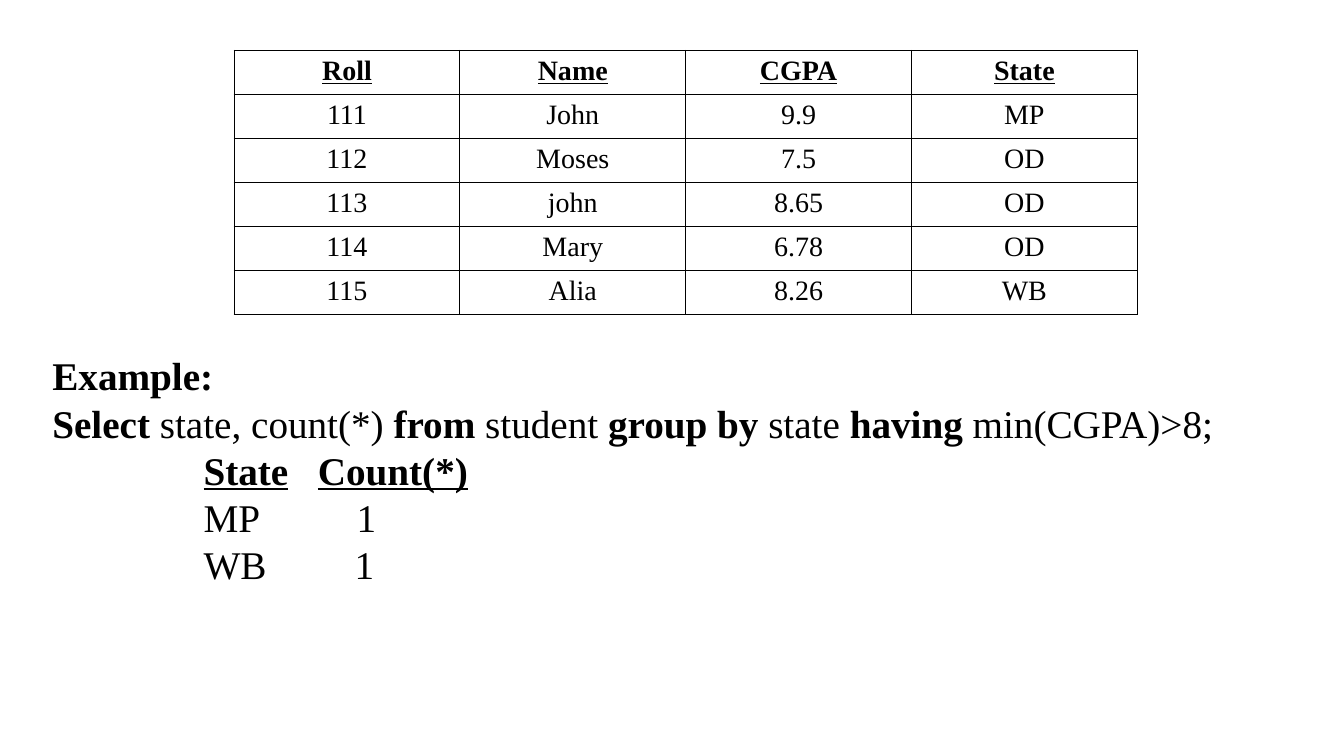
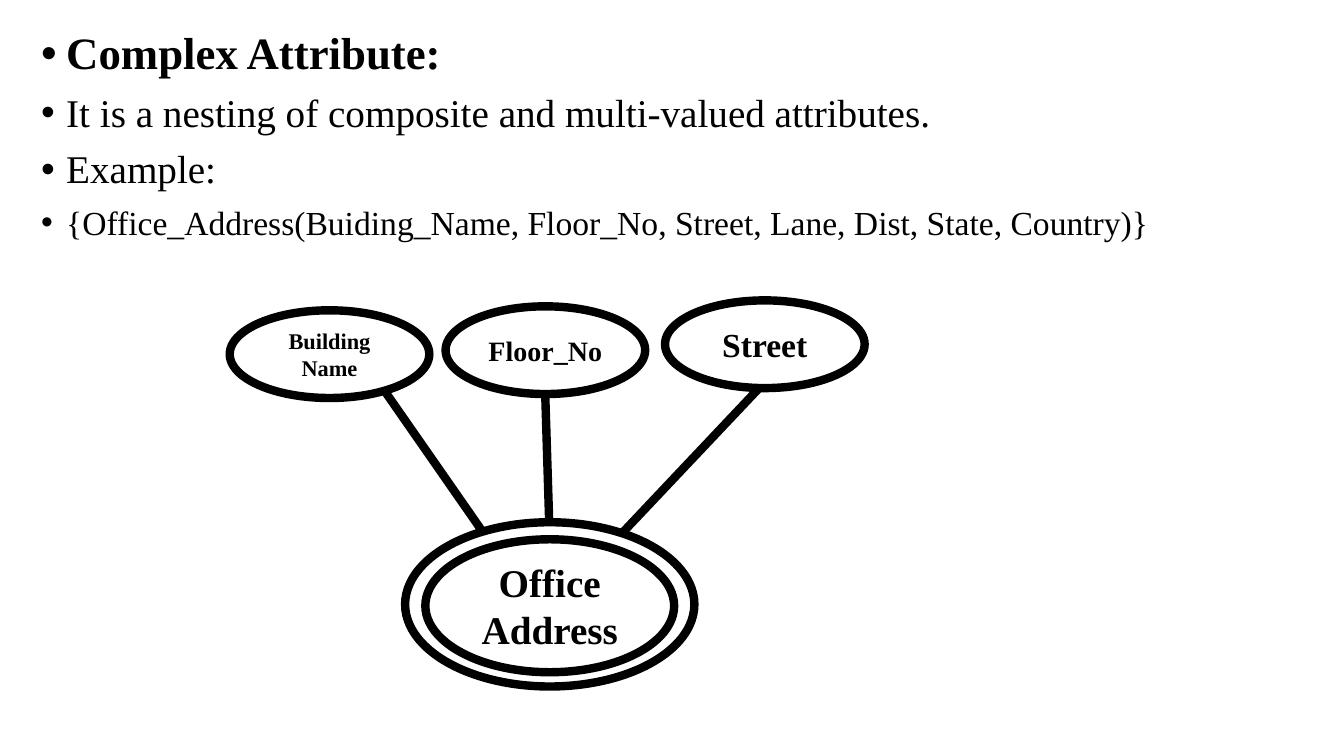
from pptx import Presentation
from pptx.dml.color import RGBColor
from pptx.enum.shapes import MSO_CONNECTOR, MSO_SHAPE
from pptx.enum.text import MSO_ANCHOR, PP_ALIGN
from pptx.oxml.ns import qn
from pptx.util import Cm, Pt
from lxml import etree

OVAL, STRAIGHT = MSO_SHAPE.OVAL, MSO_CONNECTOR.STRAIGHT
CENTER, LEFT = PP_ALIGN.CENTER, PP_ALIGN.LEFT
TOP, MIDDLE = MSO_ANCHOR.TOP, MSO_ANCHOR.MIDDLE
COLORS = {"ink": "000000", "paper": "FFFFFF"}
FONT = "Times New Roman"
STROKE = Pt(6)


class Deck:
    def __init__(self):
        self.prs = Presentation()
        self.prs.slide_width, self.prs.slide_height = Cm(33.87), Cm(19.05)
        self.slide = None

    def color(self, name):
        return RGBColor.from_string(COLORS[name])

    def add_slide(self):
        self.slide = self.prs.slides.add_slide(self.prs.slide_layouts[6])
        fill = self.slide.background.fill
        fill.solid()
        fill.fore_color.rgb = self.color("paper")

    def style(self, r, size, bold=False, underline=False):
        r.font.name, r.font.size = FONT, Pt(size)
        r.font.bold, r.font.underline = bold, underline
        r.font.color.rgb = self.color("ink")

    def add_run(self, p, text, size, bold=False, underline=False):
        r = p.add_run()
        r.text = text
        self.style(r, size, bold, underline)

    def text_box(self, x, y, w, h):
        tf = self.slide.shapes.add_textbox(Cm(x), Cm(y), Cm(w), Cm(h)).text_frame
        tf.word_wrap = True
        tf.vertical_anchor = TOP
        return tf

    def paragraph(self, tf):
        """Return the unused first paragraph, or a new one."""
        first = tf.paragraphs[0]
        p = tf.add_paragraph() if first.runs else first
        p.alignment = LEFT
        return p

    def tab_stops(self, p, positions):
        tabs = etree.SubElement(p._p.get_or_add_pPr(), qn("a:tabLst"))
        for pos in positions:
            etree.SubElement(tabs, qn("a:tab"), pos=str(Cm(pos)), algn="l")

    def bullet(self, tf, text, size, bold=False):
        p = self.paragraph(tf)
        pPr = p._p.get_or_add_pPr()
        indent = Cm(0.63)
        pPr.set("marL", str(indent))
        pPr.set("indent", str(-indent))
        etree.SubElement(pPr, qn("a:buFont"), typeface="Arial")
        etree.SubElement(pPr, qn("a:buChar"), char="•")
        p.line_spacing = 0.9
        if p._p is not tf.paragraphs[0]._p:
            p.space_before = Pt(10)
        self.add_run(p, text, size, bold)

    def border(self, tcPr, side, width):
        ln = etree.SubElement(tcPr, qn("a:" + side), w=str(Pt(width)))
        fill = etree.SubElement(ln, qn("a:solidFill"))
        etree.SubElement(fill, qn("a:srgbClr"), val=COLORS["ink"])

    def table(self, rows, x, y, col_w, row_h, size):
        n_rows, n_cols = len(rows), len(rows[0])
        table = self.slide.shapes.add_table(
            n_rows, n_cols, Cm(x), Cm(y), Cm(col_w * n_cols), Cm(row_h * n_rows)).table
        table.first_row = table.horz_banding = False
        for i, row in enumerate(rows):
            table.rows[i].height = Cm(row_h)
            header = i == 0
            widths = {"lnL": 1, "lnR": 1, "lnT": 1.5 if i == 1 else 1,
                      "lnB": 1.5 if header else 1}
            for j, value in enumerate(row):
                table.columns[j].width = Cm(col_w)
                cell = table.cell(i, j)
                for side, width in widths.items():
                    self.border(cell._tc.get_or_add_tcPr(), side, width)
                cell.fill.background()
                p = cell.text_frame.paragraphs[0]
                p.text = value
                p.alignment = CENTER
                self.style(p.runs[0], size, header, header)

    def ellipse(self, x, y, w, h, text="", size=0):
        sp = self.slide.shapes.add_shape(OVAL, Cm(x), Cm(y), Cm(w), Cm(h))
        sp.shadow.inherit = False
        sp.fill.solid()
        sp.fill.fore_color.rgb = self.color("paper")
        sp.line.color.rgb = self.color("ink")
        sp.line.width = STROKE
        if not text:
            return
        tf = sp.text_frame
        tf.margin_left = tf.margin_right = tf.margin_top = tf.margin_bottom = 0
        tf.word_wrap = False
        tf.vertical_anchor = MIDDLE
        tf.text = text
        for p in tf.paragraphs:
            p.alignment = CENTER
            self.style(p.runs[0], size, bold=True)

    def line(self, x1, y1, x2, y2):
        ln = self.slide.shapes.add_connector(STRAIGHT, Cm(x1), Cm(y1), Cm(x2), Cm(y2))
        ln.line.color.rgb = self.color("ink")
        ln.line.width = STROKE
        etree.SubElement(ln._element.spPr, qn("a:effectLst"))


def having_slide(deck):
    deck.add_slide()
    students = [
        ("Roll", "Name", "CGPA", "State"),
        ("111", "John", "9.9", "MP"),
        ("112", "Moses", "7.5", "OD"),
        ("113", "john", "8.65", "OD"),
        ("114", "Mary", "6.78", "OD"),
        ("115", "Alia", "8.26", "WB"),
    ]
    deck.table(students, 5.9, 1.27, 5.69, 1.11, 20)

    size = 28
    tf = deck.text_box(1.07, 8.74, 32.2, 7.44)
    deck.add_run(deck.paragraph(tf), "Example:", size, bold=True)
    query = ["Select", " state, count(*) ", "from", " student ", "group by ",
             "state ", "having", " min(CGPA)>8;"]
    p = deck.paragraph(tf)
    for i, part in enumerate(query):
        deck.add_run(p, part, size, bold=i % 2 == 0)

    result = [("State", "Count(*)", 6.69), ("MP", "1", 7.67), ("WB", "1", 7.62)]
    for i, (state, count, count_x) in enumerate(result):
        p = deck.paragraph(tf)
        deck.tab_stops(p, (3.81, count_x))
        deck.add_run(p, "\t", size)
        deck.add_run(p, f"{state}\t{count}", size, bold=i == 0, underline=i == 0)


def complex_attribute_slide(deck):
    deck.add_slide()
    tf = deck.text_box(0.79, 0.66, 32.26, 17.88)
    deck.bullet(tf, "Complex Attribute:", 32, bold=True)
    deck.bullet(tf, "It is a nesting of composite and multi-valued attributes.", 28)
    deck.bullet(tf, "Example:", 28)
    deck.bullet(tf, "{Office_Address(Buiding_Name, Floor_No, Street, Lane, "
                    "Dist, State, Country)}", 24)

    deck.ellipse(10.21, 13.16, 7.29, 4.14)
    deck.ellipse(10.72, 13.59, 6.27, 3.35, "Office\nAddress", 28)
    parts = [(5.79, 7.82, "Building\nName", 16),
             (11.23, 7.72, "Floor_No", 20),
             (16.76, 7.57, "Street", 24)]
    for x, y, text, size in parts:
        deck.ellipse(x, y, 5.03, 2.21, text, size)
    for ends in [(15.7, 13.41, 19.13, 9.78),
                 (13.84, 13.16, 13.74, 9.93),
                 (12.17, 13.41, 9.7, 9.86)]:
        deck.line(*ends)


def main():
    deck = Deck()
    having_slide(deck)
    complex_attribute_slide(deck)
    deck.prs.save("out.pptx")


if __name__ == "__main__":
    main()
